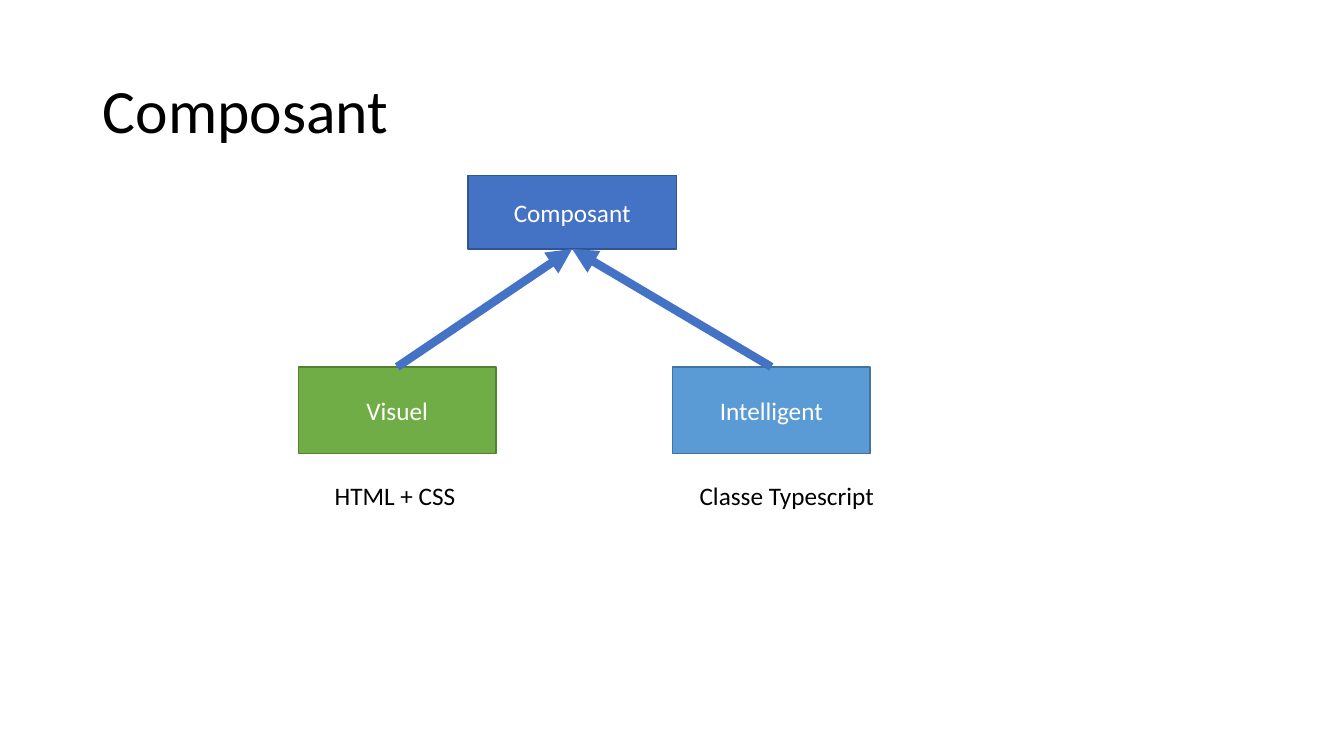
"""Build the slide that shows the two parts of a component."""
from lxml import etree
from pptx import Presentation
from pptx.dml.color import RGBColor
from pptx.enum.shapes import MSO_CONNECTOR, MSO_SHAPE
from pptx.enum.text import MSO_ANCHOR, MSO_AUTO_SIZE, PP_ALIGN
from pptx.oxml.ns import qn
from pptx.util import Inches, Pt

BLACK = RGBColor(0x00, 0x00, 0x00)
WHITE = RGBColor(0xFF, 0xFF, 0xFF)
BLUE = RGBColor(0x44, 0x72, 0xC4)
DARK_BLUE = RGBColor(0x32, 0x54, 0x91)
GREEN = RGBColor(0x70, 0xAD, 0x47)
DARK_GREEN = RGBColor(0x53, 0x80, 0x35)
SKY = RGBColor(0x5B, 0x9B, 0xD5)
DARK_SKY = RGBColor(0x43, 0x73, 0x9E)

TITLE = "Composant"
PARENT = ("Composant", (4.64, 1.74, 2.07, 0.73), BLUE, DARK_BLUE)
PART_TOP, PART_WIDTH, PART_HEIGHT = 3.64, 1.96, 0.86
PARTS = [
    ("Visuel", 2.96, GREEN, DARK_GREEN),
    ("Intelligent", 6.67, SKY, DARK_SKY),
]
CAPTION_TOP, CAPTION_HEIGHT = 4.72, 0.4
CAPTIONS = [("HTML + CSS", 3.22, 1.41), ("Classe Typescript", 6.84, 1.95)]
TOP_SITE, BOTTOM_SITE = 0, 2


def set_text(shape, text, size, color, align, **frame_format):
    frame = shape.text_frame
    frame.text = text
    for name, value in frame_format.items():
        setattr(frame, name, value)
    paragraph = frame.paragraphs[0]
    paragraph.alignment = align
    font = paragraph.runs[0].font
    for name, value in {"name": "Calibri", "size": Pt(size)}.items():
        setattr(font, name, value)
    font.color.rgb = color
    return paragraph


def add_box(slide, text, bounds, fill, outline):
    box = slide.shapes.add_shape(MSO_SHAPE.RECTANGLE, *map(Inches, bounds))
    box.shadow.inherit = False
    box.fill.solid()
    box.fill.fore_color.rgb = fill
    box.line.color.rgb = outline
    box.line.width = Pt(1)
    set_text(box, text, 18, WHITE, PP_ALIGN.CENTER, vertical_anchor=MSO_ANCHOR.MIDDLE)
    return box


def add_arrow(slide, part, parent):
    arrow = slide.shapes.add_connector(MSO_CONNECTOR.STRAIGHT, 0, 0, 0, 0)
    arrow.begin_connect(part, TOP_SITE)
    arrow.end_connect(parent, BOTTOM_SITE)
    arrow.line.color.rgb = BLUE
    arrow.line.width = Pt(6)
    etree.SubElement(arrow.line._get_or_add_ln(), qn("a:tailEnd"), type="triangle")
    etree.SubElement(arrow._element.spPr, qn("a:effectLst"))


presentation = Presentation()
presentation.slide_width = Inches(13.33)
presentation.slide_height = Inches(7.5)
slide = presentation.slides.add_slide(presentation.slide_layouts[5])

title = slide.shapes.title
title_bounds = {"left": 0.92, "top": 0.4, "width": 11.5, "height": 1.45}
for name, value in title_bounds.items():
    setattr(title, name, Inches(value))
title_paragraph = set_text(title, TITLE, 44, BLACK, PP_ALIGN.LEFT, vertical_anchor=MSO_ANCHOR.MIDDLE)
title_paragraph.line_spacing = 0.9

parts = [
    add_box(slide, text, (left, PART_TOP, PART_WIDTH, PART_HEIGHT), fill, outline)
    for text, left, fill, outline in PARTS
]
parent = add_box(slide, *PARENT)
for part in parts:
    add_arrow(slide, part, parent)

for text, left, width in CAPTIONS:
    bounds = (left, CAPTION_TOP, width, CAPTION_HEIGHT)
    caption = slide.shapes.add_textbox(*map(Inches, bounds))
    set_text(caption, text, 18, BLACK, PP_ALIGN.LEFT,
             word_wrap=False, auto_size=MSO_AUTO_SIZE.SHAPE_TO_FIT_TEXT)

presentation.save("out.pptx")
